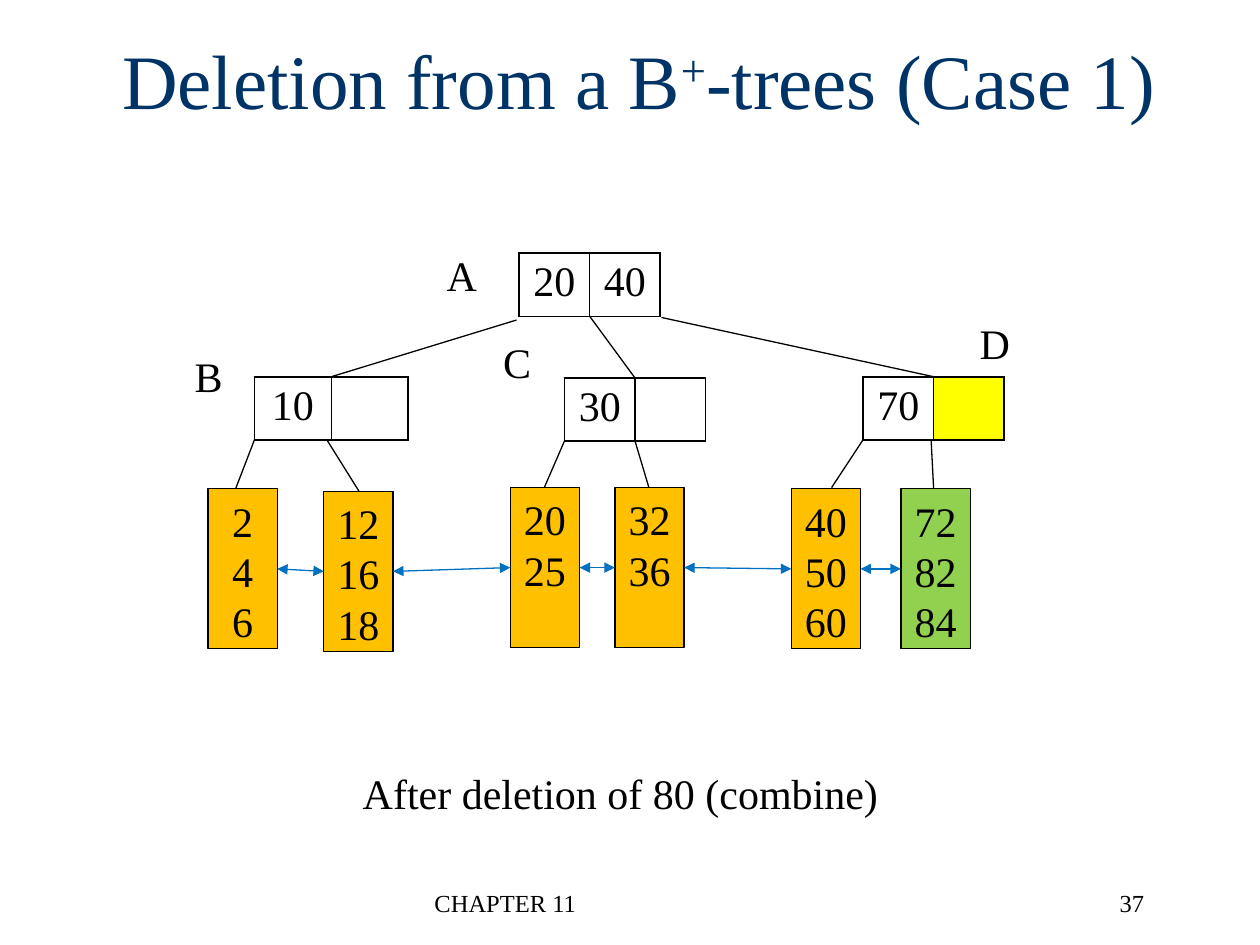
from itertools import pairwise
from lxml.etree import SubElement
from pptx import Presentation
from pptx.dml.color import RGBColor
from pptx.enum.shapes import MSO_CONNECTOR as Connector, MSO_SHAPE as Shape
from pptx.enum.text import MSO_ANCHOR as Anchor, PP_ALIGN as Align
from pptx.oxml.ns import qn
from pptx.util import Inches, Pt

BLACK = RGBColor(0x00, 0x00, 0x00)
WHITE = RGBColor(0xFF, 0xFF, 0xFF)
NAVY = RGBColor(0x00, 0x33, 0x66)
BLUE = RGBColor(0x00, 0x70, 0xC0)
ORANGE = RGBColor(0xFF, 0xC0, 0x00)
GREEN = RGBColor(0x92, 0xD0, 0x50)
YELLOW = RGBColor(0xFF, 0xFF, 0x00)
FONT = "Times New Roman"
LEAF_WIDTH, LEAF_HEIGHT = 0.55, 1.27
LINE_PITCH = Pt(28.8)

TITLE = [("Deletion from a B", False), ("+", True), ("-trees (Case 1)", False)]
NODES = [
    (4.12, 2.01, 1.12, 0.48, [("20", WHITE), ("40", WHITE)]),
    (2.02, 2.99, 1.22, 0.48, [("10", WHITE), ("", WHITE)]),
    (4.48, 3.00, 1.12, 0.50, [("30", WHITE), ("", WHITE)]),
    (6.85, 2.99, 1.12, 0.48, [("70", WHITE), ("", YELLOW)]),
]
LEAVES = [
    (1.65, 3.88, ORANGE, ["2", "4", "6"]),
    (2.57, 3.90, ORANGE, ["12", "16", "18"]),
    (4.05, 3.87, ORANGE, ["20", "25"]),
    (4.88, 3.87, ORANGE, ["32", "36"]),
    (6.28, 3.88, ORANGE, ["40", "50", "60"]),
    (7.15, 3.88, GREEN, ["72", "82", "84"]),
]
BRANCHES = [
    (4.10, 2.54, 2.63, 2.99),
    (4.68, 2.51, 5.04, 3.00),
    (5.25, 2.52, 7.41, 2.99),
    (2.02, 3.49, 1.87, 3.88),
    (2.60, 3.50, 2.85, 3.90),
    (4.48, 3.50, 4.32, 3.87),
    (5.04, 3.50, 5.15, 3.87),
    (6.85, 3.49, 6.60, 3.87),
    (7.39, 3.49, 7.41, 3.88),
]
LABELS = [
    ("A", 3.44, 1.93, 0.45),
    ("B", 1.44, 2.73, 0.43),
    ("C", 3.89, 2.62, 0.43),
    ("D", 7.67, 2.47, 0.45),
    ("After deletion of 80 (combine)", 2.76, 6.04, 4.33),
]
FOOTERS = [
    ("CHAPTER 11", 3.35, 3.17, Align.LEFT),
    ("37", 7.10, 2.08, Align.RIGHT),
]

deck = Presentation()
deck.slide_width, deck.slide_height = Inches(10), Inches(7.5)
page = deck.slides.add_slide(deck.slide_layouts[6])


def style(para, size=24, color=BLACK, align=Align.CENTER):
    para.alignment = align
    para.font.name = FONT
    para.font.size = Pt(size)
    para.font.color.rgb = color


def add_text(text, left, top, width, height=0.5, size=24, align=Align.CENTER):
    box = page.shapes.add_textbox(*map(Inches, (left, top, width, height)))
    box.text_frame.word_wrap = False
    para = box.text_frame.paragraphs[0]
    para.text = text
    style(para, size, align=align)
    return para


def add_title():
    box = page.shapes.add_textbox(Inches(0.64), 0, Inches(8.86), Inches(1.25))
    frame = box.text_frame
    frame.word_wrap = True
    frame.vertical_anchor = Anchor.MIDDLE
    para = frame.paragraphs[0]
    style(para, 44, NAVY)
    for text, raised in TITLE:
        span = para.add_run()
        span.text = text
        if raised:
            span._r.get_or_add_rPr().set("baseline", "30000")


def add_border(cell):
    props = cell._tc.get_or_add_tcPr()
    for position, side in enumerate(("lnL", "lnR", "lnT", "lnB")):
        line = SubElement(props, qn("a:" + side), w=str(Pt(1)))
        fill = SubElement(line, qn("a:solidFill"))
        SubElement(fill, qn("a:srgbClr"), val=str(BLACK))
        props.insert(position, line)


def add_node(left, top, width, height, keys):
    frame = page.shapes.add_table(1, len(keys), *map(Inches, (left, top, width, height)))
    table = frame.table
    table.first_row = table.horz_banding = False
    for cell, (key, color) in zip(table.iter_cells(), keys):
        cell.text = key
        style(cell.text_frame.paragraphs[0])
        cell.fill.solid()
        cell.fill.fore_color.rgb = color
        add_border(cell)


def add_leaf(left, top, color, keys):
    box = page.shapes.add_shape(
        Shape.RECTANGLE, *map(Inches, (left, top, LEAF_WIDTH, LEAF_HEIGHT)))
    box.shadow.inherit = False
    box.fill.solid()
    box.fill.fore_color.rgb = color
    box.line.color.rgb = BLACK
    box.line.width = Pt(0.75)
    frame = box.text_frame
    frame.word_wrap = False
    frame.vertical_anchor = Anchor.TOP
    frame.text = "\n".join(keys)
    for para in frame.paragraphs:
        style(para)
        para.line_spacing = LINE_PITCH


def add_line(ends, color=BLACK, arrows=False):
    line = page.shapes.add_connector(Connector.STRAIGHT, *map(Inches, ends))
    line.line.color.rgb = color
    line.line.width = Pt(0.75)
    props = line._element.spPr
    if arrows:
        for end in ("a:headEnd", "a:tailEnd"):
            SubElement(props.find(qn("a:ln")), qn(end), type="triangle")
    SubElement(props, qn("a:effectLst"))


add_title()
for node in NODES:
    add_node(*node)
for leaf in LEAVES:
    add_leaf(*leaf)
for branch in BRANCHES:
    add_line(branch)
for (left, top, *_), (next_left, next_top, *_) in pairwise(LEAVES):
    middle = LEAF_HEIGHT / 2
    add_line((left + LEAF_WIDTH, top + middle, next_left, next_top + middle), BLUE, True)
for label in LABELS:
    add_text(*label).line_spacing = LINE_PITCH
for text, left, width, align in FOOTERS:
    add_text(text, left, 7, width, size=14, align=align)

deck.save("out.pptx")
